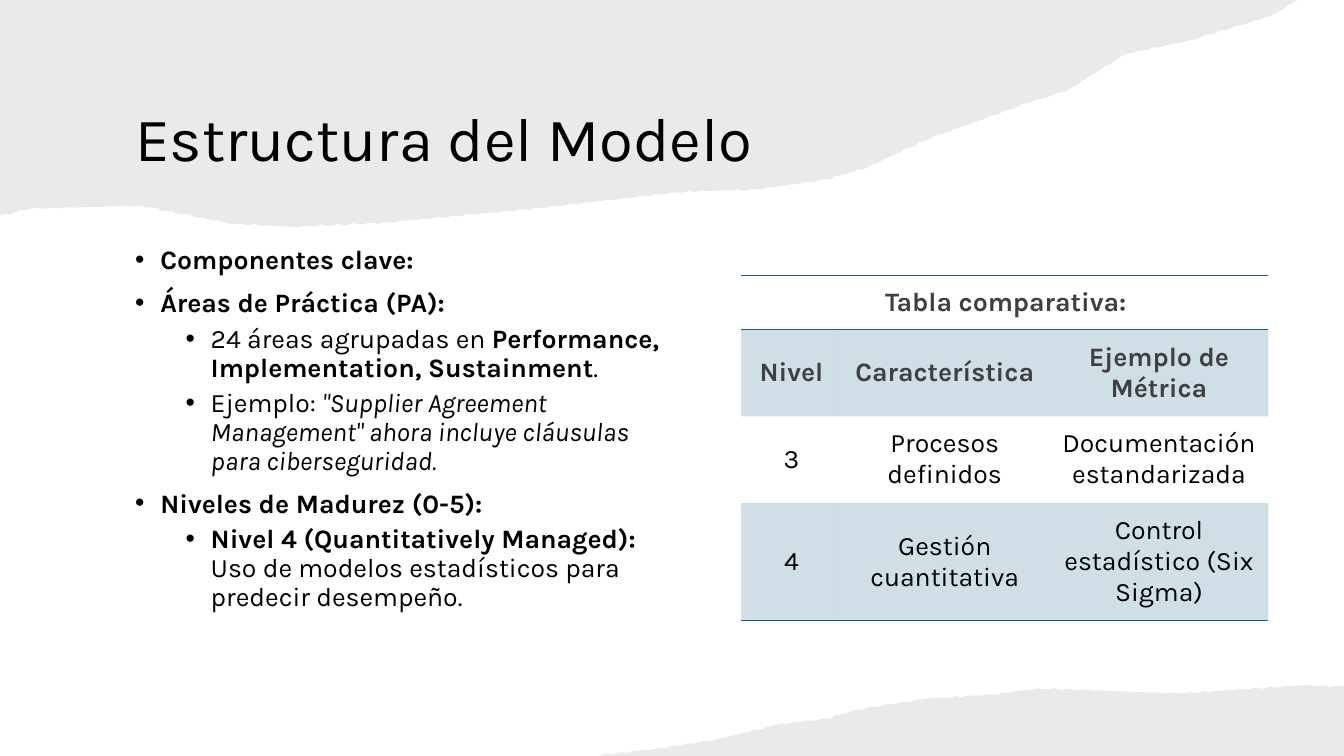
import math
from itertools import pairwise

from lxml import etree
from pptx import Presentation
from pptx import util as u
from pptx.dml.color import RGBColor
from pptx.enum import text
from pptx.oxml import ns

SLIDE_WIDTH, SLIDE_HEIGHT = 13.33, 7.5
FONT = "Karla"
TITLE_SIZE, TEXT_SIZE = 44, 19
COLORS = {"paper": "82766A", "accent": "156082", "header": "404040", "ink": "000000"}
PLAIN_TABLE_STYLE = "{2D5ABB26-0587-4C30-8999-92F81FD0307C}"

TITLE = "Estructura del Modelo"
BULLETS = [
    (0, [("Componentes clave:", "bold")]),
    (0, [("Áreas de Práctica (PA):", "bold")]),
    (1, [("24 áreas agrupadas en ", ""),
         ("Performance, Implementation, Sustainment", "bold"), (".", "")]),
    (1, [("Ejemplo: ", ""),
         ('"Supplier Agreement Management" ahora incluye cláusulas para ciberseguridad.', "italic")]),
    (0, [("Niveles de Madurez (0-5):", "bold")]),
    (1, [("Nivel 4 (Quantitatively Managed):", "bold"),
         (" Uso de modelos estadísticos para predecir desempeño.", "")]),
]
TABLE_TITLE = "Tabla comparativa:"
TABLE_ROWS = [
    (TABLE_TITLE, "", ""),
    ("Nivel", "Característica", "Ejemplo de Métrica"),
    ("3", "Procesos definidos", "Documentación estandarizada"),
    ("4", "Gestión cuantitativa", "Control estadístico (Six Sigma)"),
]
COLUMN_WIDTHS = [0.98, 2.08, 2.17]
ROW_HEIGHTS = [0.54, 0.86, 0.86, 1.17]
RULED_SIDES = {0: ["lnT", "lnB"], 3: ["lnB"]}

TOP_EDGE = [(0, 2.14), (0.3, 2.07), (1.4, 2.04), (2.3, 2.22), (2.9, 2.25), (3.8, 2.21),
            (5.2, 2.08), (6.8, 1.9), (7.5, 1.88), (8.2, 1.78), (8.6, 1.66), (9.25, 1.36),
            (10.2, 1.02), (10.6, 0.89), (11.15, 0.54), (11.8, 0.4), (12.6, 0.16), (12.87, 0)]
BOTTOM_EDGE = [(5.89, 7.5), (6.5, 7.43), (7.1, 7.34), (7.7, 7.19), (8.2, 7.13), (8.5, 7.04),
               (9.2, 6.93), (9.85, 6.89), (10.3, 6.83), (11.7, 6.88), (12.9, 6.8), (13.33, 6.81)]
TEAR_STEP, TEAR_DEPTH = 0.05, 0.01


def torn_edge(anchors):
    points = []
    for (x0, y0), (x1, y1) in pairwise(anchors):
        steps = math.ceil((x1 - x0) / TEAR_STEP)
        for step in range(steps):
            share = step / steps
            x = x0 + share * (x1 - x0)
            ripple = TEAR_DEPTH * math.sin(23 * x) * math.cos(61 * x) if step else 0
            points.append((x, y0 + share * (y1 - y0) + ripple))
    return points + [anchors[-1]]


def paint(fill, color, opacity):
    fill.solid()
    fill.fore_color.rgb = RGBColor.from_string(COLORS[color])
    tint = fill._xPr.find(ns.qn("a:solidFill"))[0]
    etree.SubElement(tint, ns.qn("a:alpha"), val=str(opacity * 1000))


def style_font(font, size, color="ink"):
    font.name = FONT
    font.size = u.Pt(size)
    font.color.rgb = RGBColor.from_string(COLORS[color])


def place(shape, left, top, width, height):
    shape.left, shape.top = u.Inches(left), u.Inches(top)
    shape.width, shape.height = u.Inches(width), u.Inches(height)
    shape.text_frame.auto_size = text.MSO_AUTO_SIZE.NONE


def add_torn_paper(page, edge, corner):
    outline = [(u.Inches(x), u.Inches(y)) for x, y in [corner] + torn_edge(edge)]
    builder = page.shapes.build_freeform(*outline[0])
    builder.add_line_segments(outline[1:])
    paper = builder.convert_to_shape()
    paper.shadow.inherit = False
    paint(paper.fill, "paper", 15)
    paper.line.fill.background()
    page.shapes._spTree.insert(2, paper._element)


def add_title(page):
    title = page.shapes.title
    place(title, 1.24, 0.67, 10.27, 1.46)
    frame = title.text_frame
    frame.text = TITLE
    frame.vertical_anchor = text.MSO_ANCHOR.MIDDLE
    para = frame.paragraphs[0]
    para.alignment = text.PP_ALIGN.LEFT
    para.line_spacing = 0.9
    style_font(para.font, TITLE_SIZE)


def set_bullet(para, level):
    para.level = level
    properties = para._p.get_or_add_pPr()
    properties.set("marL", str(u.Inches(0.25 + 0.5 * level)))
    properties.set("indent", str(u.Inches(-0.25)))
    etree.SubElement(properties, ns.qn("a:buFont"), typeface="Arial")
    etree.SubElement(properties, ns.qn("a:buChar"), char="•")


def add_bullets(page):
    body = page.placeholders[1]
    place(body, 1.24, 2.4, 5.42, 4.28)
    frame = body.text_frame
    for index, (level, parts) in enumerate(BULLETS):
        para = frame.add_paragraph() if index else frame.paragraphs[0]
        para.line_spacing = 0.9
        para.space_before = u.Pt((10, 5)[level] if index else 0)
        set_bullet(para, level)
        style_font(para.font, TEXT_SIZE)
        for words, emphasis in parts:
            span = para.add_run()
            span.text = words
            span.font.bold = emphasis == "bold"
            span.font.italic = emphasis == "italic"


def add_rule(cell, side, position):
    rule = etree.Element(ns.qn(f"a:{side}"), w=str(u.Pt(1)))
    fill = etree.SubElement(rule, ns.qn("a:solidFill"))
    etree.SubElement(fill, ns.qn("a:srgbClr"), val=COLORS["accent"])
    cell._tc.get_or_add_tcPr().insert(position, rule)


def format_cell(cell, row, column):
    cell.vertical_anchor = text.MSO_ANCHOR.MIDDLE
    cell.margin_left = u.Inches(0.09 if column else 0.11)
    cell.margin_right = cell.margin_top = cell.margin_bottom = u.Inches(0.09)
    if row % 2:
        paint(cell.fill, "accent", 20)
    else:
        cell.fill.background()
    for position, side in enumerate(RULED_SIDES.get(row, [])):
        add_rule(cell, side, position)


def write_cell(cell, label, is_header):
    cell.text = label
    para = cell.text_frame.paragraphs[0]
    para.alignment = text.PP_ALIGN.CENTER
    style_font(para.font, TEXT_SIZE, "header" if is_header else "ink")
    para.font.bold = is_header


def add_levels_table(page):
    holder = page.shapes.add_table(
        len(ROW_HEIGHTS), len(COLUMN_WIDTHS), u.Inches(7.35), u.Inches(2.73),
        u.Inches(sum(COLUMN_WIDTHS)), u.Inches(sum(ROW_HEIGHTS)))
    table = holder.table
    table.first_row = table.horz_banding = False
    table._tbl.tblPr.find(ns.qn("a:tableStyleId")).text = PLAIN_TABLE_STYLE
    for column, width in zip(table.columns, COLUMN_WIDTHS):
        column.width = u.Inches(width)
    for row, height in zip(table.rows, ROW_HEIGHTS):
        row.height = u.Inches(height)
    table.cell(0, 0).merge(table.cell(0, len(COLUMN_WIDTHS) - 1))
    for row, labels in enumerate(TABLE_ROWS):
        for column, label in enumerate(labels):
            cell = table.cell(row, column)
            format_cell(cell, row, column)
            if label:
                write_cell(cell, label, is_header=row < 2)


def main():
    deck = Presentation()
    deck.slide_width, deck.slide_height = u.Inches(SLIDE_WIDTH), u.Inches(SLIDE_HEIGHT)
    page = deck.slides.add_slide(deck.slide_layouts[1])
    add_torn_paper(page, TOP_EDGE, corner=(0, 0))
    add_torn_paper(page, BOTTOM_EDGE, corner=(SLIDE_WIDTH, SLIDE_HEIGHT))
    add_title(page)
    add_bullets(page)
    add_levels_table(page)
    deck.save("out.pptx")


if __name__ == "__main__":
    main()
